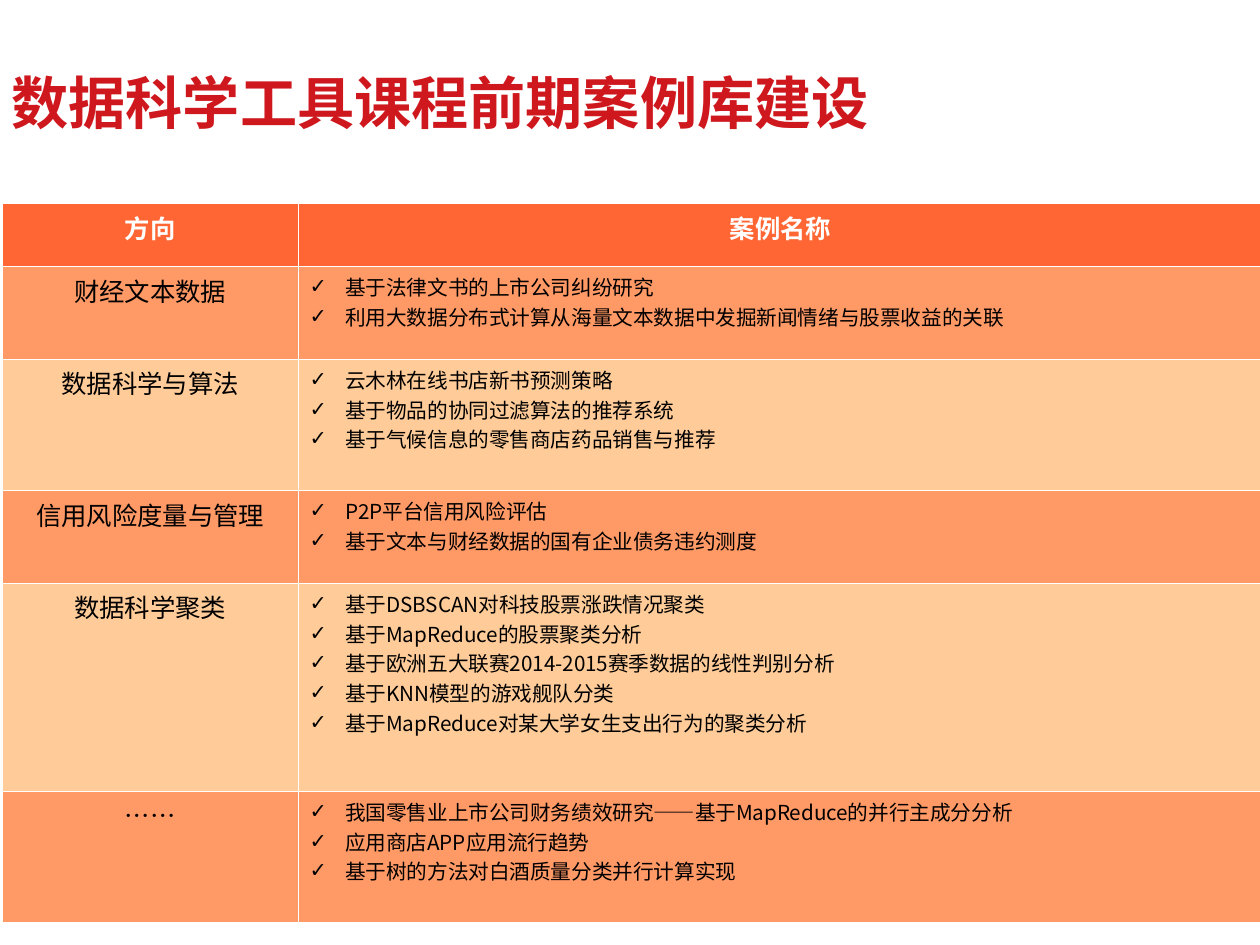
from pptx import Presentation
from pptx.dml.color import RGBColor
from pptx.enum.text import MSO_ANCHOR, MSO_AUTO_SIZE, PP_ALIGN
from pptx.oxml import parse_xml
from pptx.oxml.ns import nsdecls
from pptx.util import Inches, Pt

FONT = "Noto Sans CJK SC"
RED = RGBColor(0xCE, 0x18, 0x1E)
WHITE = RGBColor(0xFF, 0xFF, 0xFF)
BLACK = RGBColor(0, 0, 0)
HEAD = RGBColor(0xFF, 0x66, 0x33)
DARK = RGBColor(0xFF, 0x99, 0x66)
LIGHT = RGBColor(0xFF, 0xCC, 0x99)
NS = nsdecls("a")

TITLE = {"size": Pt(36), "bold": True, "color": RED}
TOP = {"size": Pt(16), "bold": True, "color": WHITE}
TOPIC = {"size": Pt(16), "bold": False, "color": BLACK}
CASE = {"size": Pt(13), "bold": False, "color": BLACK}

ROWS = [
    (0.55, "方向", ["案例名称"]),
    (0.81, "财经文本数据", [
        "基于法律文书的上市公司纠纷研究",
        "利用大数据分布式计算从海量文本数据中发掘新闻情绪与股票收益的关联"]),
    (1.15, "数据科学与算法", [
        "云木林在线书店新书预测策略",
        "基于物品的协同过滤算法的推荐系统",
        "基于气候信息的零售商店药品销售与推荐"]),
    (0.81, "信用风险度量与管理", [
        "P2P平台信用风险评估",
        "基于文本与财经数据的国有企业债务违约测度"]),
    (1.82, "数据科学聚类", [
        "基于DSBSCAN对科技股票涨跌情况聚类",
        "基于MapReduce的股票聚类分析",
        "基于欧洲五大联赛2014-2015赛季数据的线性判别分析",
        "基于KNN模型的游戏舰队分类",
        "基于MapReduce对某大学女生支出行为的聚类分析"]),
    (1.15, "……", [
        "我国零售业上市公司财务绩效研究——基于MapReduce的并行主成分分析",
        "应用商店APP应用流行趋势",
        "基于树的方法对白酒质量分类并行计算实现"]),
]


def write(para, text, style, align):
    para.alignment = align
    run = para.add_run()
    run.text = text
    for key, val in style.items():
        if key == "color":
            run.font.color.rgb = val
        else:
            setattr(run.font, key, val)
    run.font.name = FONT
    run.font._element.append(parse_xml(f'<a:ea {NS} typeface="{FONT}"/>'))


def check(para):
    props = para._p.get_or_add_pPr()
    props.set("marL", str(Inches(0.31)))
    props.set("indent", str(-Inches(0.31)))
    for part in (f'<a:buClr {NS}><a:srgbClr val="{BLACK}"/></a:buClr>',
                 f'<a:buFont {NS} typeface="Arial"/>',
                 f'<a:buChar {NS} char="✓"/>'):
        props.append(parse_xml(part))


# Slide of 28 by 21 cm
deck = Presentation()
deck.slide_width = Inches(28 / 2.54)
deck.slide_height = Inches(21 / 2.54)
slide = deck.slides.add_slide(deck.slide_layouts[5])

# Title
title = slide.shapes.title
title.left, title.top = Inches(0), Inches(0.54)
title.width, title.height = Inches(8.58), Inches(0.7)
frame = title.text_frame
frame.auto_size = MSO_AUTO_SIZE.NONE
frame.vertical_anchor = MSO_ANCHOR.MIDDLE
write(frame.paragraphs[0], "数据科学工具课程前期案例库建设", TITLE, PP_ALIGN.LEFT)

# Case table
grid = slide.shapes.add_table(len(ROWS), 2, Inches(0.02), Inches(1.78),
                              Inches(11.02), Inches(6.29)).table
grid.horz_banding = False
for col, width in zip(grid.columns, (2.59, 8.44)):
    col.width = Inches(width)

for i, (height, topic, cases) in enumerate(ROWS):
    grid.rows[i].height = Inches(height)
    fill = HEAD if i == 0 else DARK if i % 2 else LIGHT
    left, right = grid.cell(i, 0), grid.cell(i, 1)

    # Fill and white borders
    for cell in (left, right):
        cell.fill.solid()
        cell.fill.fore_color.rgb = fill
        props = cell._tc.get_or_add_tcPr()
        for n, side in enumerate("LRTB"):
            props.insert(n, parse_xml(
                f'<a:ln{side} {NS} w="720"><a:solidFill><a:srgbClr val="{WHITE}"/>'
                f'</a:solidFill></a:ln{side}>'))

    # Topic and its cases
    write(left.text_frame.paragraphs[0], topic, TOPIC if i else TOP, PP_ALIGN.CENTER)
    body = right.text_frame
    for n, case in enumerate(cases):
        para = body.add_paragraph() if n else body.paragraphs[0]
        if i:
            write(para, case, CASE, PP_ALIGN.LEFT)
            check(para)
        else:
            write(para, case, TOP, PP_ALIGN.CENTER)

deck.save("out.pptx")
